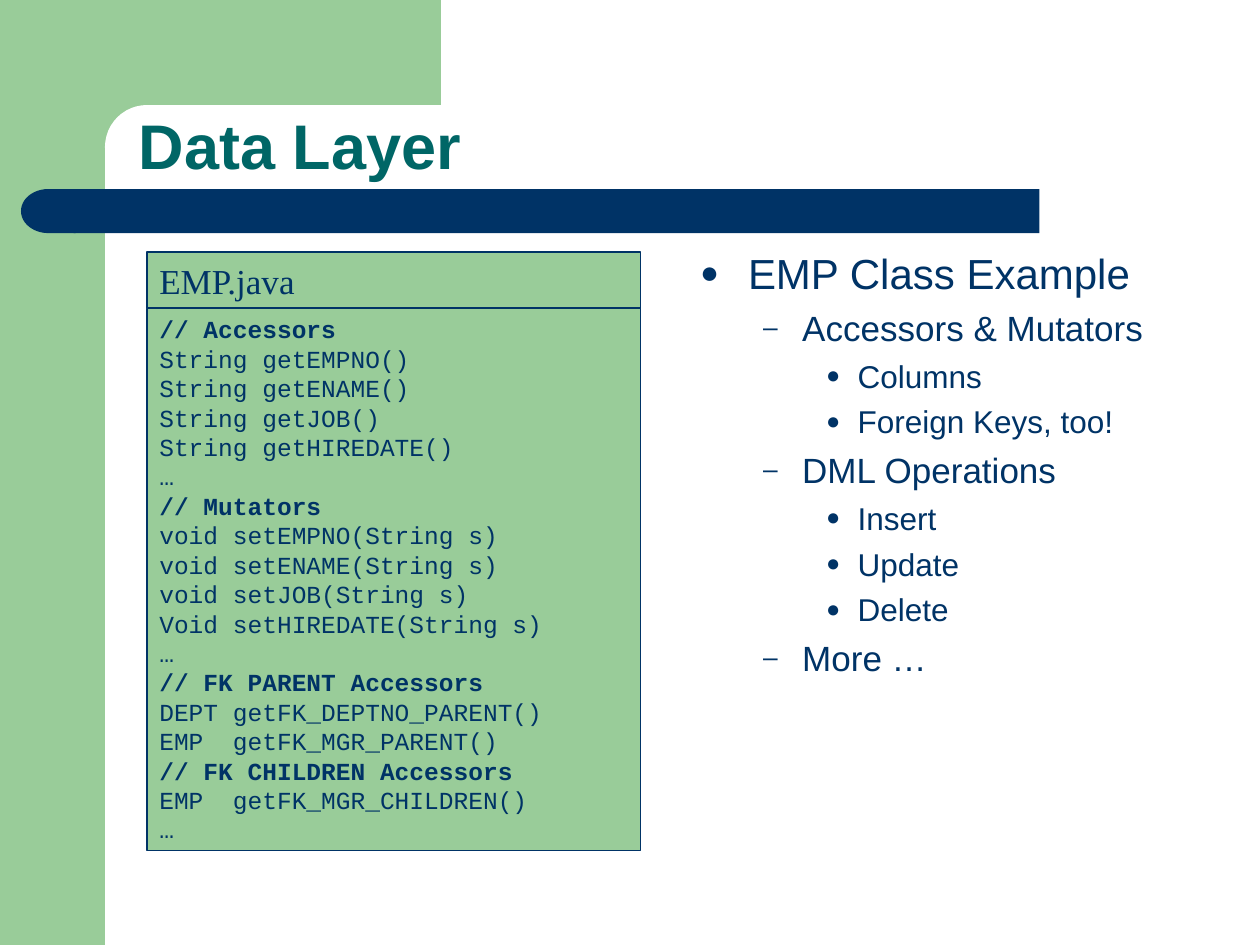
import pptx
import pptx.util
import pptx.dml.color
import pptx.enum.shapes
import pptx.enum.text
import pptx.oxml.ns
from collections import namedtuple
from dataclasses import dataclass
from lxml import etree

SHAPE = pptx.enum.shapes.MSO_SHAPE
ANCHOR = pptx.enum.text.MSO_ANCHOR
Inches, Pt = pptx.util.Inches, pptx.util.Pt

WIDTH, HEIGHT = Inches(10), Inches(7.5)
COLUMNS, ROWS = 120, 90
Box = namedtuple("Box", "column row columns rows")
# indent and hanging are in inches, space_before in points
Level = namedtuple("Level", "bullet indent hanging space_before size")


@dataclass(frozen=True)
class Theme:
    green: str = "99CC99"
    navy: str = "003366"
    teal: str = "006666"
    white: str = "FFFFFF"
    sans: str = "Arial"
    serif: str = "Times New Roman"
    mono: str = "Courier New"
    title_size: int = 36
    file_size: int = 20
    code_size: int = 14
    bullet_scale: int = 75
    outline_width: float = 0.75
    levels: tuple = (
        Level("●", 0.38, 0.38, 6, 24),
        Level("–", 0.81, 0.31, 5, 20),
        Level("●", 1.25, 0.25, 4.5, 18),
    )


THEME = Theme()

CODE = """// Accessors
String getEMPNO()
String getENAME()
String getJOB()
String getHIREDATE()
…
// Mutators
void setEMPNO(String s)
void setENAME(String s)
void setJOB(String s)
Void setHIREDATE(String s)
…
// FK PARENT Accessors
DEPT getFK_DEPTNO_PARENT()
EMP  getFK_MGR_PARENT()
// FK CHILDREN Accessors
EMP  getFK_MGR_CHILDREN()
…"""

OUTLINE = [
    (0, "EMP Class Example"),
    (1, "Accessors & Mutators"),
    (2, "Columns"),
    (2, "Foreign Keys, too!"),
    (1, "DML Operations"),
    (2, "Insert"),
    (2, "Update"),
    (2, "Delete"),
    (1, "More …"),
]


def rgb(color):
    return pptx.dml.color.RGBColor.from_string(color)


def on_grid(box):
    """Left, top, width and height of a box of grid cells."""
    return (round(WIDTH * box.column / COLUMNS), round(HEIGHT * box.row / ROWS),
            round(WIDTH * box.columns / COLUMNS), round(HEIGHT * box.rows / ROWS))


def add_block(slide, kind, box, fill, outline=None):
    block = slide.shapes.add_shape(kind, *on_grid(box))
    block.shadow.inherit = False
    block.fill.solid()
    block.fill.fore_color.rgb = rgb(fill)
    if outline:
        block.line.color.rgb = rgb(outline)
        block.line.width = Pt(THEME.outline_width)
    else:
        block.line.fill.background()
    return block


def style(paragraph, face, size, color, bold=False):
    paragraph.alignment = pptx.enum.text.PP_ALIGN.LEFT
    for run in paragraph.runs:
        run.font.name = face
        run.font.size = Pt(size)
        run.font.bold = bold
        run.font.color.rgb = rgb(color)


def set_bullet(paragraph, level):
    properties = paragraph._p.get_or_add_pPr()
    properties.set("marL", str(Inches(level.indent)))
    properties.set("indent", str(-Inches(level.hanging)))
    for tag, attribute, value in (
        ("a:buSzPct", "val", str(THEME.bullet_scale * 1000)),
        ("a:buFont", "typeface", THEME.sans),
        ("a:buChar", "char", level.bullet),
    ):
        etree.SubElement(properties, pptx.oxml.ns.qn(tag)).set(attribute, value)


def add_backdrop(slide, page):
    edge, band = page.columns / 12, page.rows * 7 / 45
    add_block(slide, SHAPE.RECTANGLE, Box(page.column, page.row, edge, page.rows), THEME.green)
    add_block(slide, SHAPE.RECTANGLE, Box(edge - 1, page.row, 33, band), THEME.green)
    corner = add_block(slide, SHAPE.ROUNDED_RECTANGLE, Box(edge, 10, 67, 8), THEME.white)
    corner.adjustments[0] = 0.5


def add_rule(slide, box):
    """Navy bar with a rounded left end."""
    cap_width = 5
    add_block(slide, SHAPE.RECTANGLE,
              box._replace(column=box.column + cap_width, columns=box.columns - cap_width),
              THEME.navy)
    cap = add_block(slide, SHAPE.FLOWCHART_DELAY, box._replace(columns=cap_width + 0.2), THEME.navy)
    cap._element.spPr.xfrm.set("flipH", "1")


def place_title(slide, box, text):
    title = slide.shapes.title
    title.left, title.top, title.width, title.height = on_grid(box)
    slide.shapes._spTree.append(title._element)  # in front of the backdrop
    frame = title.text_frame
    frame.text = text
    frame.word_wrap = True
    frame.auto_size = pptx.enum.text.MSO_AUTO_SIZE.NONE
    frame.vertical_anchor = ANCHOR.BOTTOM
    frame.paragraphs[0].line_spacing = 0.9
    style(frame.paragraphs[0], THEME.sans, THEME.title_size, THEME.teal, bold=True)


def add_class_card(slide, box, file_name, code):
    header_rows = 5.35
    header = box._replace(rows=header_rows)
    listing = box._replace(row=box.row + header_rows, rows=box.rows - header_rows)
    for part, text, anchor, face, size in (
        (header, file_name, ANCHOR.MIDDLE, THEME.serif, THEME.file_size),
        (listing, code, ANCHOR.TOP, THEME.mono, THEME.code_size),
    ):
        frame = add_block(slide, SHAPE.FLOWCHART_PROCESS, part, THEME.green, THEME.navy).text_frame
        frame.text = text
        frame.word_wrap = True
        frame.vertical_anchor = anchor
        for line in frame.paragraphs:
            style(line, face, size, THEME.navy, bold=line.text.startswith("//"))


def add_outline(slide, box, entries):
    frame = slide.shapes.add_textbox(*on_grid(box)).text_frame
    frame.word_wrap = True
    frame.text = "\n".join(text for _, text in entries)
    for position, (paragraph, (depth, _)) in enumerate(zip(frame.paragraphs, entries)):
        level = THEME.levels[depth]
        paragraph.level = depth
        if position:
            paragraph.space_before = Pt(level.space_before)
        set_bullet(paragraph, level)
        style(paragraph, THEME.sans, level.size, THEME.navy)


def main():
    deck = pptx.Presentation()
    deck.slide_width, deck.slide_height = WIDTH, HEIGHT
    slide = deck.slides.add_slide(deck.slide_layouts.get_by_name("Title Only"))
    add_backdrop(slide, Box(0, 0, COLUMNS, ROWS))
    add_rule(slide, Box(2, 18, 97, 4.2))
    place_title(slide, Box(12, 10, 105, 8), "Data Layer")
    add_outline(slide, Box(65.5, 23, 51.5, 57), OUTLINE)
    add_class_card(slide, Box(14, 24, 47, 57), "EMP.java", CODE)
    deck.save("out.pptx")


if __name__ == "__main__":
    main()
